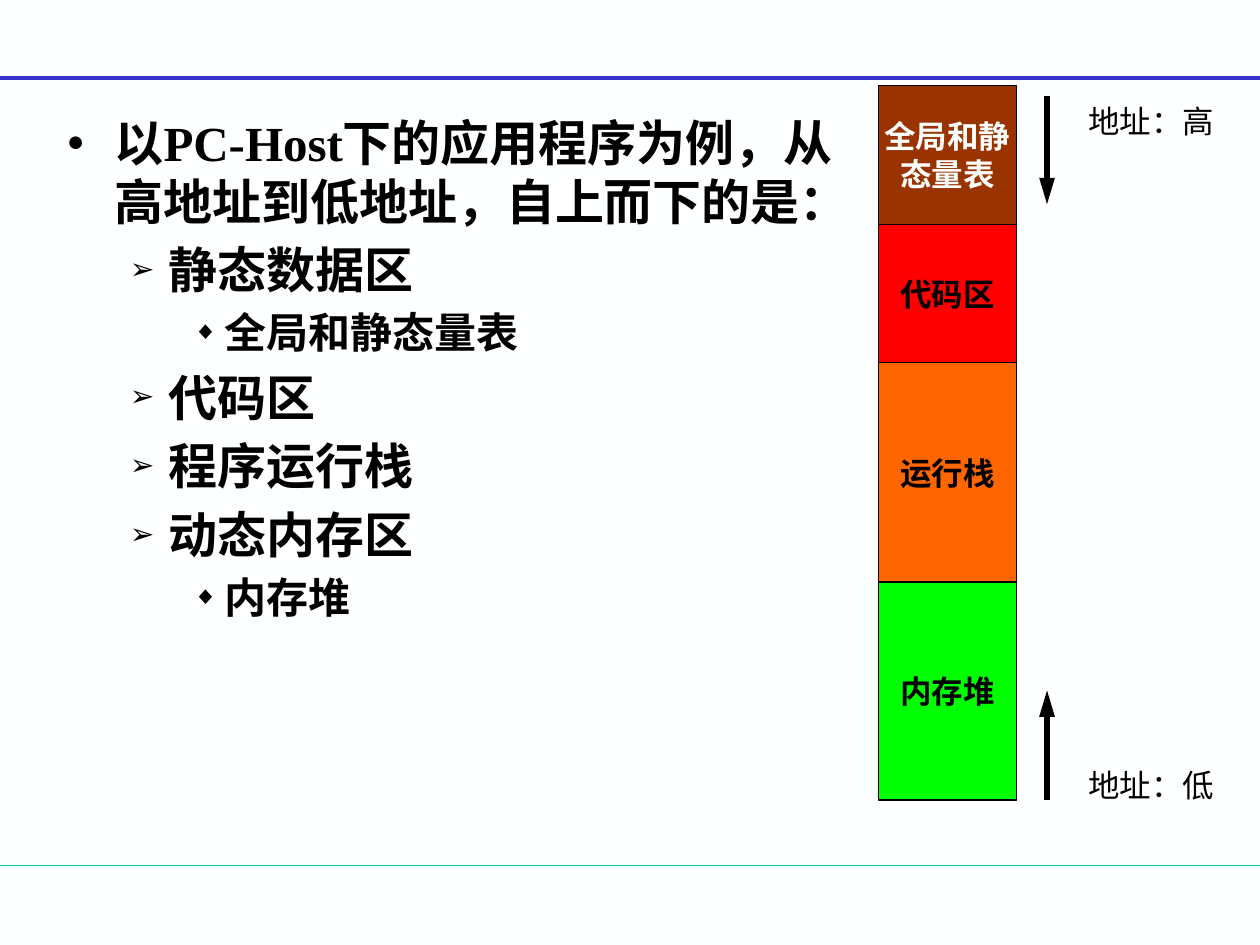
"""Build a slide on the memory layout of a running program."""
from lxml import etree
from pptx import Presentation, util as u
from pptx.dml.color import RGBColor
from pptx.enum import shapes, text
from pptx.oxml.ns import qn

THEME = dict(
    back="FEFFFF", ink="000000", top="3333CC", foot="00CC99",
    latin="Times New Roman", cjk="Noto Sans CJK SC", label=18,
)
LEVELS = [
    dict(size=28, mark="●", left=0.38, hang=0.38),
    dict(size=28, mark="➢", left=0.81, hang=0.31),
    dict(size=24, mark="◆", left=1.25, hang=0.25),
]
POINTS = [
    (0, "以PC-Host下的应用程序为例，从高地址到低地址，自上而下的是："),
    (1, "静态数据区"),
    (2, "全局和静态量表"),
    (1, "代码区"),
    (1, "程序运行栈"),
    (1, "动态内存区"),
    (2, "内存堆"),
]
BLOCKS = [
    ("全局和静态量表", 1.1, "993300", THEME["back"]),
    ("代码区", 1.1, "FF0000", THEME["ink"]),
    ("运行栈", 1.74, "FF6600", THEME["ink"]),
    ("内存堆", 1.73, "00FF00", THEME["ink"]),
]
NOTES = [("地址：高", 0.76), ("地址：低", 6.03)]
RULES = [(0.62, THEME["top"], 2.25), (6.87, THEME["foot"], 0.75)]
ARROWS = [(0.76, 1.62), (6.35, 5.48)]
STACK = (6.97, 0.68, 1.1)


def box(*nums):
    return [u.Inches(n) for n in nums]


def rgb(hue):
    return RGBColor.from_string(hue)


def style(para, size, face, hue, bold):
    for run in para.runs:
        font = run.font
        font.size, font.name, font.bold = u.Pt(size), face, bold
        font.color.rgb = rgb(hue)
        etree.SubElement(run._r.get_or_add_rPr(), qn("a:ea"), typeface=THEME["cjk"])


def bullet(para, look):
    props = para._p.get_or_add_pPr()
    props.set("marL", str(u.Inches(look["left"])))
    props.set("indent", str(-u.Inches(look["hang"])))
    etree.SubElement(props, qn("a:buSzPct"), val="60000")
    etree.SubElement(props, qn("a:buChar"), char=look["mark"])


def rule(slide, start, end, hue, width, head=False):
    line = slide.shapes.add_connector(
        shapes.MSO_CONNECTOR.STRAIGHT, *box(*start, *end))
    line.line.color.rgb = rgb(hue)
    line.line.width = u.Pt(width)
    if head:
        etree.SubElement(line.line._get_or_add_ln(), qn("a:tailEnd"),
                         type="triangle", w="med", len="lg")
    etree.SubElement(line._element.spPr, qn("a:effectLst"))


def outline(slide):
    body = slide.placeholders[1]
    body.left, body.top, body.width, body.height = box(0.43, 0.84, 6.38, 4.95)
    frame = body.text_frame
    frame.auto_size = text.MSO_AUTO_SIZE.NONE
    frame.text = "\n".join(words for _, words in POINTS)
    for para, (level, _) in zip(frame.paragraphs, POINTS):
        look = LEVELS[level]
        para.level = level
        bullet(para, look)
        style(para, look["size"], THEME["latin"], THEME["ink"], True)
    frame.paragraphs[0].space_before = u.Pt(0)


def stack(slide):
    left, top, width = STACK
    for words, height, fill, ink in BLOCKS:
        block = slide.shapes.add_shape(
            shapes.MSO_SHAPE.RECTANGLE, *box(left, top, width, height))
        block.shadow.inherit = False
        block.fill.solid()
        block.fill.fore_color.rgb = rgb(fill)
        block.line.color.rgb = rgb(THEME["ink"])
        block.line.width = u.Pt(0.75)
        frame = block.text_frame
        frame.margin_left = frame.margin_right = u.Inches(0.04)
        frame.vertical_anchor = text.MSO_ANCHOR.MIDDLE
        frame.text = words
        para = frame.paragraphs[0]
        para.alignment = text.PP_ALIGN.CENTER
        style(para, THEME["label"], THEME["cjk"], ink, True)
        top += height


def notes(slide):
    for words, top in NOTES:
        frame = slide.shapes.add_textbox(*box(8.54, top, 1.34, 0.4)).text_frame
        frame.word_wrap = True
        frame.text = words
        style(frame.paragraphs[0], THEME["label"], THEME["cjk"], THEME["ink"], False)


def main():
    deck = Presentation()
    deck.slide_width, deck.slide_height = box(10, 7.5)
    slide = deck.slides.add_slide(deck.slide_layouts[1])
    title = slide.shapes.title._element
    title.getparent().remove(title)
    slide.background.fill.solid()
    slide.background.fill.fore_color.rgb = rgb(THEME["back"])
    for y, hue, width in RULES:
        rule(slide, (0, y), (10, y), hue, width)
    outline(slide)
    stack(slide)
    notes(slide)
    for start, end in ARROWS:
        rule(slide, (8.31, start), (8.31, end), THEME["ink"], 3, True)
    deck.save("out.pptx")


if __name__ == "__main__":
    main()
